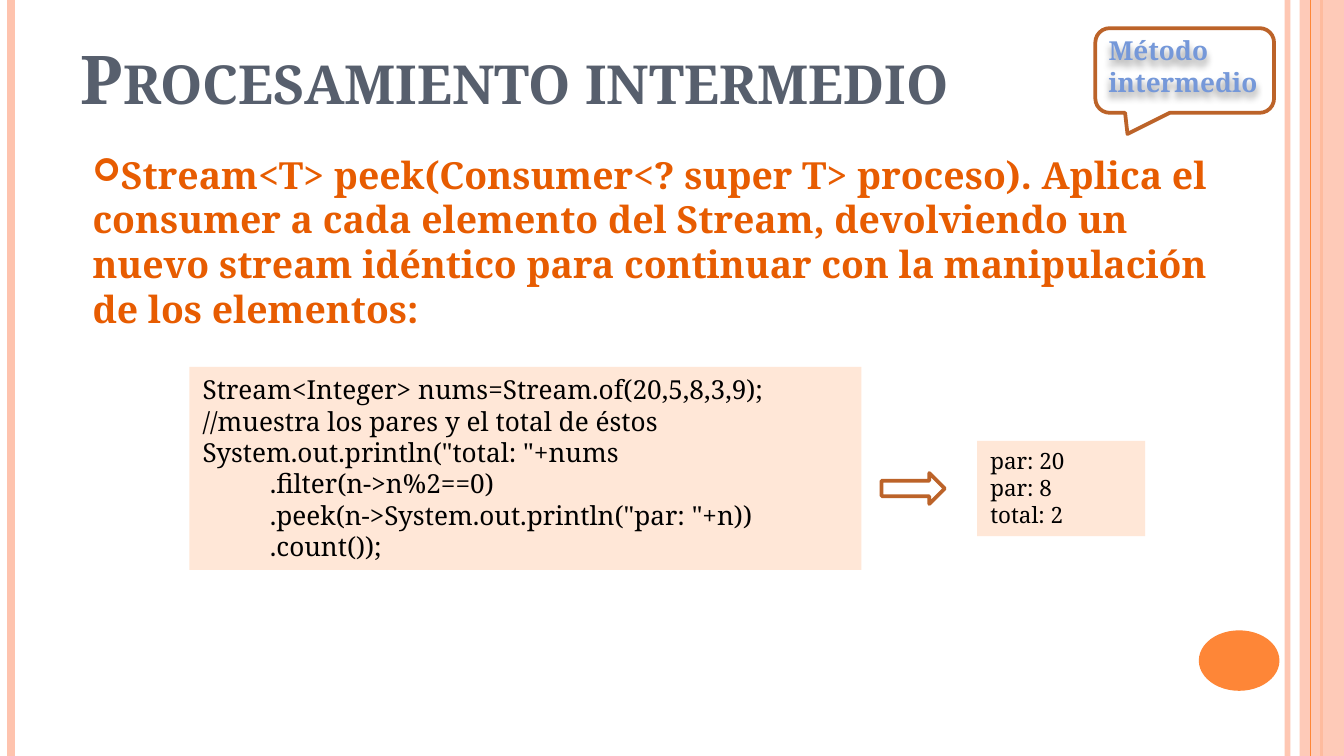
from dataclasses import dataclass
from typing import Optional

import pptx
import pptx.dml.color
import pptx.enum.shapes
import pptx.enum.text
import pptx.oxml
import pptx.oxml.ns
import pptx.util
from lxml import etree

PX = 4572  # EMU per px, 200 px to the inch
WIDTH, HEIGHT = 2000, 1125
FONT = "Noto Serif"
COLORS = {
    "pink": "FEC3AE",
    "orange": "FE8637",
    "slate": "575F6D",
    "brown": "BC6329",
    "blue": "7598D9",
    "rust": "E75C01",
    "cream": "FFE7D7",
    "black": "000000",
}
SHAPES = pptx.enum.shapes.MSO_SHAPE
ANCHOR = pptx.enum.text.MSO_ANCHOR
AUTO_SIZE = pptx.enum.text.MSO_AUTO_SIZE
qn = pptx.oxml.ns.qn


@dataclass(frozen=True)
class Box:
    left: int
    top: int
    width: int
    height: int

    def emu(self) -> tuple[int, int, int, int]:
        return self.left * PX, self.top * PX, self.width * PX, self.height * PX


@dataclass(frozen=True)
class Stripe:
    x: int
    color: str
    points: float
    opacity: int = 100


@dataclass(frozen=True)
class Panel:
    box: Box
    size: int
    lines: tuple[str, ...]


STRIPES_BEHIND = (Stripe(1916, "pink", 3, 93), Stripe(16, "pink", 4.5), Stripe(1966, "orange", 1.5))
STRIPE_IN_FRONT = Stripe(1950, "orange", 0.75)
PANELS = (
    Panel(Box(282, 546, 1000, 302), 14, (
        "Stream<Integer> nums=Stream.of(20,5,8,3,9);",
        "//muestra los pares y el total de éstos",
        'System.out.println("total: "+nums',
        "\t.filter(n->n%2==0)",
        '\t.peek(n->System.out.println("par: "+n))',
        "\t.count());",
    )),
    Panel(Box(1454, 656, 250, 142), 12, ("par: 20", "par: 8", "total: 2")),
)


def rgb(name: str) -> pptx.dml.color.RGBColor:
    return pptx.dml.color.RGBColor.from_string(COLORS[name])


def set_opacity(properties, percent: int) -> None:
    """Make the first colour found under the given properties translucent."""
    color = next(properties.iter(qn("a:srgbClr")))
    etree.SubElement(color, qn("a:alpha"), val=str(percent * 1000))


def add_stripe(slide, stripe: Stripe) -> None:
    x = stripe.x * PX
    line = slide.shapes.add_connector(
        pptx.enum.shapes.MSO_CONNECTOR.STRAIGHT, x, 0, x, HEIGHT * PX)
    line.line.color.rgb = rgb(stripe.color)
    line.line.width = pptx.util.Pt(stripe.points)
    properties = line._element.spPr
    if stripe.opacity < 100:
        set_opacity(properties, stripe.opacity)
    etree.SubElement(properties, qn("a:effectLst"))


def add_figure(slide, kind, box: Box, fill: Optional[str] = None,
               outline: Optional[str] = None):
    figure = slide.shapes.add_shape(kind, *box.emu())
    figure.shadow.inherit = False
    if fill:
        figure.fill.solid()
        figure.fill.fore_color.rgb = rgb(fill)
    else:
        figure.fill.background()
    if outline:
        figure.line.color.rgb = rgb(outline)
        figure.line.width = pptx.util.Pt(2)
    else:
        figure.line.fill.background()
    return figure


def write(holder, text: str, size: int, color: str, bold: bool = False) -> None:
    """Set left-aligned text that starts at the top of its holder."""
    frame = holder.text_frame
    frame.text = text
    frame.word_wrap = True
    frame.vertical_anchor = ANCHOR.TOP
    for paragraph in frame.paragraphs:
        paragraph.alignment = pptx.enum.text.PP_ALIGN.LEFT
        for run in paragraph.runs:
            run.font.name = FONT
            run.font.size = pptx.util.Pt(size)
            run.font.bold = bold
            run.font.color.rgb = rgb(color)


def add_bullet(paragraph, mark: str) -> None:
    properties = paragraph._p.get_or_add_pPr()
    properties.set("marL", "0")
    properties.set("indent", "0")
    etree.SubElement(properties, qn("a:buSzPct"), val="85000")
    etree.SubElement(properties, qn("a:buFont"), typeface="Wingdings")
    etree.SubElement(properties, qn("a:buChar"), char=mark)


def add_text_shadow(label) -> None:
    label.shadow.inherit = False
    effects = label._element.spPr.find(qn("a:effectLst"))
    shadow = etree.SubElement(effects, qn("a:outerShdw"), blurRad="50800",
                              dist="38100", dir="5400000", algn="t", rotWithShape="0")
    color = etree.SubElement(shadow, qn("a:srgbClr"), val=COLORS["black"])
    etree.SubElement(color, qn("a:alpha"), val="40000")


def add_frame(slide) -> None:
    for stripe in STRIPES_BEHIND:
        add_stripe(slide, stripe)
    band = add_figure(slide, SHAPES.RECTANGLE, Box(1934, 0, 66, HEIGHT), "pink")
    set_opacity(band._element.spPr, 87)
    add_stripe(slide, STRIPE_IN_FRONT)
    add_figure(slide, SHAPES.OVAL, Box(1784, 938, 120, 90), "orange")


def add_title(slide) -> None:
    title = slide.shapes.title
    title.left, title.top, title.width, title.height = Box(100, 46, 1634, 188).emu()
    write(title, "Procesamiento intermedio", 36, "slate", True)
    title.text_frame.auto_size = AUTO_SIZE.NONE
    title.text_frame.paragraphs[0].runs[0].font._element.set("cap", "small")


def add_callout(slide) -> None:
    balloon = add_figure(slide, SHAPES.ROUNDED_RECTANGULAR_CALLOUT,
                         Box(1630, 42, 266, 126), outline="brown")
    for index, value in enumerate((-0.32, 0.75, 0.17)):
        balloon.adjustments[index] = value
    label = slide.shapes.add_textbox(*Box(1630, 42, 266, 114).emu())
    write(label, "Método intermedio", 14, "blue", True)
    label.text_frame.auto_size = AUTO_SIZE.SHAPE_TO_FIT_TEXT
    add_text_shadow(label)


def add_description(slide) -> None:
    description = slide.shapes.add_textbox(*Box(118, 216, 1718, 296).emu())
    write(description,
          "Stream<T> peek(Consumer<? super T> proceso). Aplica el consumer a cada "
          "elemento del Stream, devolviendo un nuevo stream idéntico para continuar "
          "con la manipulación de los elementos:", 20, "rust", True)
    paragraph = description.text_frame.paragraphs[0]
    paragraph.space_before = pptx.util.Pt(6)
    paragraph.space_after = pptx.util.Pt(12)
    add_bullet(paragraph, "➢")


def add_panel(slide, panel: Panel) -> None:
    code = add_figure(slide, SHAPES.RECTANGLE, panel.box, "cream")
    write(code, "\n".join(panel.lines), panel.size, "black")
    code.text_frame.auto_size = AUTO_SIZE.SHAPE_TO_FIT_TEXT


def main() -> None:
    deck = pptx.Presentation()
    deck.slide_width, deck.slide_height = WIDTH * PX, HEIGHT * PX
    slide = deck.slides.add_slide(deck.slide_layouts.get_by_name("Title Only"))
    add_frame(slide)
    add_title(slide)
    add_callout(slide)
    add_description(slide)
    for panel in PANELS:
        add_panel(slide, panel)
    add_figure(slide, SHAPES.RIGHT_ARROW, Box(1312, 704, 94, 46), outline="brown")
    deck.save("out.pptx")


if __name__ == "__main__":
    main()
